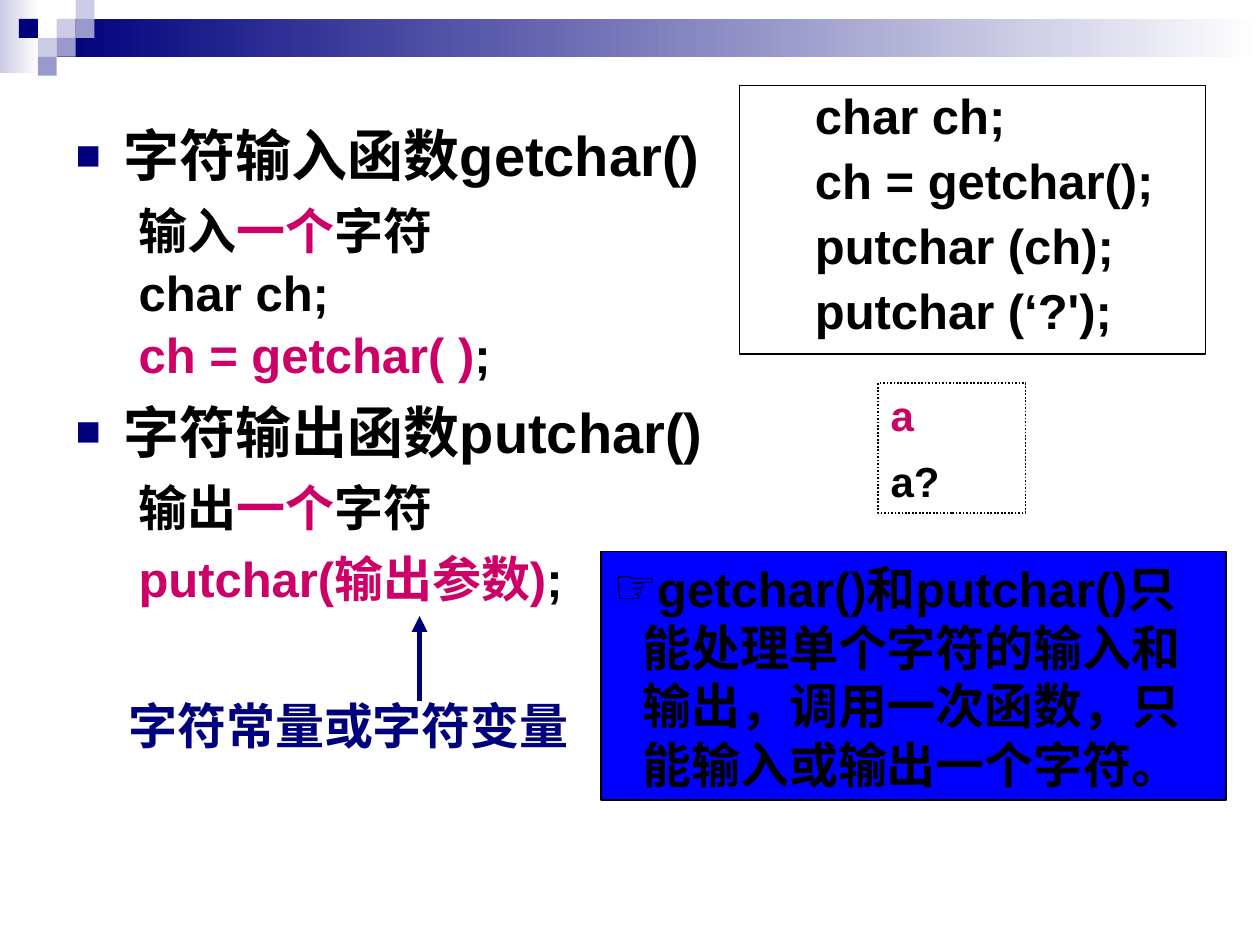
from lxml.etree import SubElement as Sub
from pptx import Presentation
from pptx.dml.color import RGBColor
from pptx.enum.dml import MSO_LINE as Dash
from pptx.enum.shapes import MSO_CONNECTOR as Conn, MSO_SHAPE as Shape
from pptx.enum.text import MSO_ANCHOR as Anchor, MSO_AUTO_SIZE as Auto, PP_ALIGN as Align
from pptx.oxml.ns import qn
from pptx.util import Inches, Pt

NAVY, LILAC, MID = "00007D", "CCCCE6", "9999CC"
BLACK, PINK, BLUE, WHITE = "000000", "CC0066", "0000FF", "FFFFFF"


def color(code):
    return RGBColor.from_string(code)


def inches(box):
    return [Inches(n) for n in box]


class Page:
    # Paragraph styles: size, indents in inches, bullet and spacing
    styles = {
        "head": dict(size=32, left=0.38, hang=-0.38, mark=("■", NAVY, 75),
                     fmt=dict(alignment=Align.JUSTIFY, space_before=Pt(8))),
        "item": dict(size=28, left=0.81, hang=-0.31, level=1,
                     fmt=dict(alignment=Align.JUSTIFY, space_before=Pt(7))),
        "tight": dict(size=28, left=0.81, hang=-0.31, level=1,
                      fmt=dict(alignment=Align.JUSTIFY, space_before=Pt(7), line_spacing=0.85)),
        "code": dict(size=28, left=0.81, hang=-0.31, level=1,
                     fmt=dict(alignment=Align.JUSTIFY, space_before=Pt(7), line_spacing=0.9)),
        "label": dict(size=28, fmt=dict(alignment=Align.JUSTIFY)),
        "out": dict(size=24, fmt=dict(alignment=Align.LEFT, space_before=Pt(9))),
        "note": dict(size=28, left=0.23, hang=-0.23, mark=("☞", BLACK, 100),
                     fmt=dict(alignment=Align.LEFT)),
    }

    def __init__(self, slide):
        self.slide = slide

    def para(self, par, style, runs):
        look = self.styles[style]
        props = par._p.get_or_add_pPr()
        props.set("marL", str(Inches(look.get("left", 0))))
        props.set("indent", str(Inches(look.get("hang", 0))))
        if "mark" in look:
            char, tint, size = look["mark"]
            Sub(Sub(props, qn("a:buClr")), qn("a:srgbClr"), val=tint)
            Sub(props, qn("a:buSzPct"), val=str(size * 1000))
            Sub(props, qn("a:buFont"), typeface="Arial")
            Sub(props, qn("a:buChar"), char=char)
        else:
            Sub(props, qn("a:buNone"))
        par.level = look.get("level", 0)
        for key, value in look["fmt"].items():
            setattr(par, key, value)
        for text, tint in runs:
            run = par.add_run()
            run.text = text
            for key, value in dict(name="Arial", size=Pt(look["size"]), bold=True).items():
                setattr(run.font, key, value)
            run.font.color.rgb = color(tint)

    def words(self, frame, lines, wrap=True, anchor=Anchor.TOP):
        fmt = dict(word_wrap=wrap, auto_size=Auto.NONE, vertical_anchor=anchor)
        for key, value in fmt.items():
            setattr(frame, key, value)
        for i, (style, *runs) in enumerate(lines):
            par = frame.add_paragraph() if i else frame.paragraphs[0]
            self.para(par, style, runs)
        frame.paragraphs[0].space_before = Pt(0)

    def body(self, box, lines):
        hold = self.slide.placeholders[1]
        hold.left, hold.top, hold.width, hold.height = inches(box)
        self.words(hold.text_frame, lines)

    def label(self, box, lines):
        text = self.slide.shapes.add_textbox(*inches(box))
        self.words(text.text_frame, lines, wrap=False)

    def rect(self, box, fill=None, fade=None, line=0, dash=None):
        rect = self.slide.shapes.add_shape(Shape.RECTANGLE, *inches(box))
        rect.shadow.inherit = False
        if fade:
            rect.fill.gradient()
            rect.fill.gradient_angle = 0
            for stop, tint in zip(rect.fill.gradient_stops, fade):
                stop.color.rgb = color(tint)
        elif fill:
            rect.fill.solid()
            rect.fill.fore_color.rgb = color(fill)
        else:
            rect.fill.background()
        if line:
            rect.line.color.rgb = color(BLACK)
            rect.line.width = Pt(line)
            rect.line.dash_style = dash
        else:
            rect.line.fill.background()
        return rect

    def panel(self, box, lines, anchor=Anchor.TOP, **look):
        self.words(self.rect(box, **look).text_frame, lines, anchor=anchor)

    def arrow(self, ends, tint, width):
        line = self.slide.shapes.add_connector(Conn.STRAIGHT, *inches(ends))
        line.line.color.rgb = color(tint)
        line.line.width = Pt(width)
        props = line._element.spPr
        Sub(props.find(qn("a:ln")), qn("a:tailEnd"), type="triangle")
        Sub(props, qn("a:effectLst"))


def main():
    deck = Presentation()
    deck.slide_width, deck.slide_height = Inches(10), Inches(7.5)
    slide = deck.slides.add_slide(deck.slide_layouts[1])
    title = slide.shapes.title._element
    title.getparent().remove(title)
    page = Page(slide)

    # Top band and its checkered corner
    page.rect((0, 0, 0.31, 0.58), fade=(LILAC, WHITE))
    page.rect((0.45, 0.15, 9.55, 0.3), fade=(NAVY, WHITE))
    side = 0.15
    for col, row, tint in [(3, 1, LILAC), (4, 0, LILAC), (4, 1, MID), (2, 2, LILAC),
                           (1, 1, NAVY), (3, 2, MID), (2, 3, MID)]:
        page.rect((col * side, row * side, side, side), fill=tint)

    # The two functions
    page.body((0.5, 0.91, 9.08, 4.33), [
        ("head", ("字符输入函数getchar()", BLACK)),
        ("item", ("输入", BLACK), ("一个", PINK), ("字符", BLACK)),
        ("tight", ("char ch;", BLACK)),
        ("tight", ("ch = getchar( )", PINK), (";", BLACK)),
        ("head", ("字符输出函数putchar()", BLACK)),
        ("item", ("输出", BLACK), ("一个", PINK), ("字符", BLACK)),
        ("item", ("putchar(输出参数)", PINK), (";", BLACK)),
    ])

    # Remark on the argument
    page.label((0.92, 5.47, 3.69, 0.57), [("label", ("字符常量或字符变量", NAVY))])
    page.arrow((3.33, 5.56, 3.33, 4.89), NAVY, 3)

    # Sample code and its output
    code = ["char ch;", "ch = getchar();", "putchar (ch);", "putchar (‘?');"]
    page.panel((5.87, 0.68, 3.7, 2.13), [("code", (text, BLACK)) for text in code], line=0.75)
    page.panel((6.97, 3.04, 1.17, 1.03), [("out", ("a", PINK)), ("out", ("a?", BLACK))],
               line=1, dash=Dash.ROUND_DOT)

    # Closing note
    note = "getchar()和putchar()只能处理单个字符的输入和输出，调用一次函数，只能输入或输出一个字符。"
    page.panel((4.77, 4.38, 4.96, 1.97), [("note", (note, BLACK))],
               anchor=Anchor.MIDDLE, fill=BLUE, line=0.75)

    deck.save("out.pptx")


if __name__ == "__main__":
    main()
